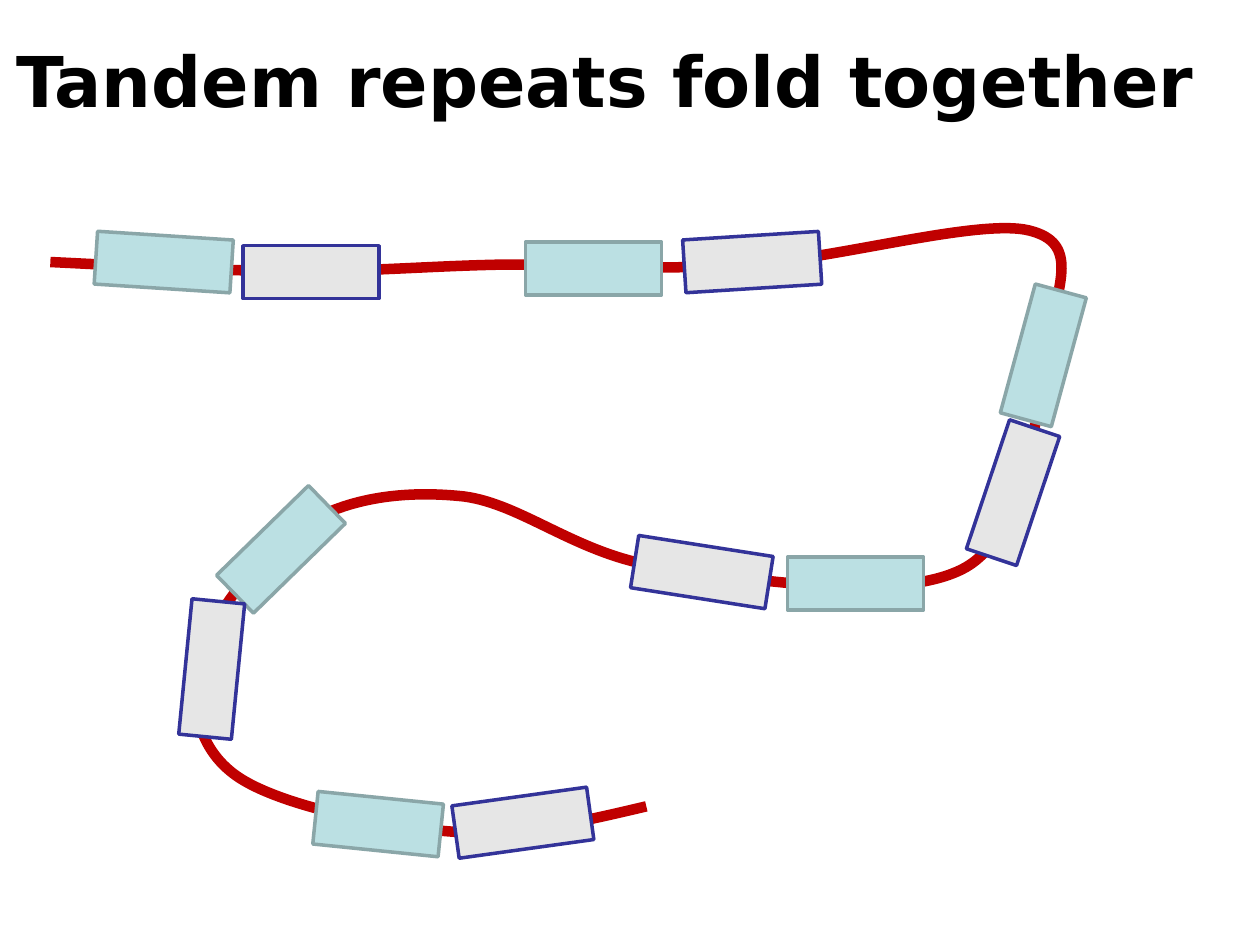
from lxml.etree import SubElement
from pptx import Presentation
from pptx.dml.color import RGBColor
from pptx.enum.shapes import MSO_SHAPE
from pptx.enum.text import MSO_ANCHOR, MSO_AUTO_SIZE, PP_ALIGN
from pptx.oxml.ns import qn
from pptx.util import Pt

PX = 9144  # 100 px to the inch


def color(value):
    return RGBColor.from_string(value)


def style_line(shape, value, width):
    shape.shadow.inherit = False
    shape.line.color.rgb = color(value)
    shape.line.width = Pt(width)


deck = Presentation()
deck.slide_width, deck.slide_height = 1000 * PX, 750 * PX
page = deck.slides.add_slide(deck.slide_layouts[5])

# Title
title = page.shapes.title
title.left, title.top, title.width, title.height = 0, 25 * PX, 960 * PX, 77 * PX
frame = title.text_frame
frame.word_wrap = False
frame.auto_size = MSO_AUTO_SIZE.SHAPE_TO_FIT_TEXT
frame.vertical_anchor = MSO_ANCHOR.TOP
para = frame.paragraphs[0]
para.alignment = PP_ALIGN.CENTER
span = para.add_run()
span.text = "Tandem repeats fold together"
span.font.name = "DejaVu Sans"
span.font.size = Pt(40)
span.font.bold = True
span.font.color.rgb = color("000000")

# Protein chain: start point, then two control points and an end per curve
chain_start = (40, 208)
chain_curves = [
    (104, 211), (169, 215), (229, 215),
    (289, 216), (340, 211), (401, 210),
    (461, 210), (523, 215), (592, 210),
    (662, 206), (777, 173), (817, 183),
    (857, 193), (840, 225), (832, 270),
    (824, 314), (818, 420), (767, 450),
    (715, 480), (591, 459), (525, 450),
    (459, 441), (415, 400), (368, 394),
    (321, 389), (277, 395), (242, 416),
    (208, 437), (169, 487), (159, 521),
    (150, 554), (155, 593), (188, 616),
    (221, 639), (303, 656), (358, 660),
    (412, 664), (462, 652), (513, 640),
]
builder = page.shapes.build_freeform(*chain_start, scale=PX)
builder.add_line_segments(chain_curves, close=False)
chain = builder.convert_to_shape()
chain.fill.background()
style_line(chain, "C00000", 6)

# Turn each three straight segments into one Bézier curve
outline = next(chain.element.iter(qn("a:path")))
segments = outline.findall(qn("a:lnTo"))
for first in range(0, len(segments), 3):
    curve = SubElement(outline, qn("a:cubicBezTo"))
    for segment in segments[first:first + 3]:
        curve.append(segment[0])
        outline.remove(segment)

# Repeat units: left, top, width, rotation
repeats = [
    ("BBE0E3", "8AA6A8", [
        (76, 187, 108, 3.7), (417, 192, 108, 0), (775, 261, 106, 105.2),
        (625, 442, 108, 180), (250, 633, 100, 185.8), (172, 415, 102, 315.7),
    ]),
    ("E6E6E6", "333399", [
        (193, 195, 108, 0), (543, 187, 108, 356.4), (750, 370, 108, 108.5),
        (503, 433, 108, 188.9), (114, 510, 108, 95.6), (361, 632, 108, 352.1),
    ]),
]
for fill, edge, units in repeats:
    for left, top, width, rotation in units:
        unit = page.shapes.add_shape(
            MSO_SHAPE.RECTANGLE, left * PX, top * PX, width * PX, 42 * PX)
        unit.rotation = rotation
        unit.fill.solid()
        unit.fill.fore_color.rgb = color(fill)
        style_line(unit, edge, 2)

deck.save("out.pptx")
